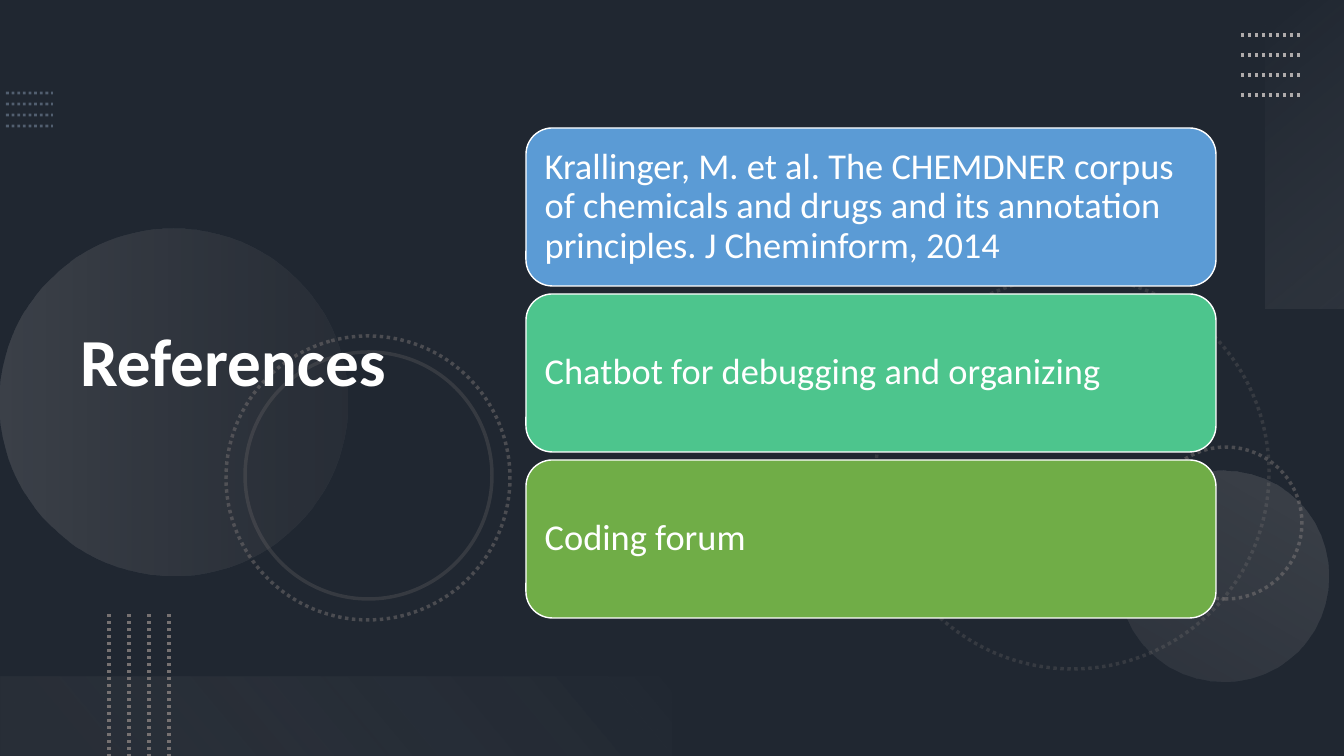
from lxml import etree
from pptx import Presentation
from pptx.dml.color import RGBColor
from pptx.enum.dml import MSO_LINE
from pptx.enum.shapes import MSO_CONNECTOR, MSO_SHAPE
from pptx.enum.text import MSO_ANCHOR, PP_ALIGN
from pptx.oxml.ns import qn
from pptx.util import Emu, Pt

PAGE_WIDTH, PAGE_HEIGHT = 1344, 756
EMU_PER_PX = 12192000 / PAGE_WIDTH

RECT, ELLIPSE, ROUNDED = MSO_SHAPE.RECTANGLE, MSO_SHAPE.OVAL, MSO_SHAPE.ROUNDED_RECTANGLE
STRAIGHT = MSO_CONNECTOR.STRAIGHT
DOTTED, SOLID = MSO_LINE.ROUND_DOT, MSO_LINE.SOLID
MIDDLE, LEFT = MSO_ANCHOR.MIDDLE, PP_ALIGN.LEFT

SLATE = RGBColor(0x44, 0x54, 0x6A)
BLACK = RGBColor(0x00, 0x00, 0x00)
WHITE = RGBColor(0xFF, 0xFF, 0xFF)
STEEL = RGBColor(0x84, 0x97, 0xB0)
GRAY = RGBColor(0x76, 0x71, 0x71)
SILVER = RGBColor(0xAF, 0xAB, 0xAB)
SMOKE = RGBColor(0xF5, 0xF5, 0xF5)
PEARL = RGBColor(0xF1, 0xF0, 0xF0)
BLUE = RGBColor(0x5B, 0x9B, 0xD5)
MINT = RGBColor(0x4D, 0xC5, 0x8D)
GREEN = RGBColor(0x70, 0xAD, 0x47)

TITLE_FORMAT = {"name": "Calibri", "size": Pt(48), "bold": True}
CARD_FORMAT = {"name": "Calibri", "size": Pt(26), "bold": False}

REFERENCES = [
    ("Krallinger, M. et al. The CHEMDNER corpus of chemicals and drugs "
     "and its annotation principles. J Cheminform, 2014", BLUE),
    ("Chatbot for debugging and organizing", MINT),
    ("Coding forum", GREEN),
]


def px(length):
    return Emu(round(length * EMU_PER_PX))


def set_opacity(item, percent):
    for color in item._element.spPr.iter(qn("a:srgbClr")):
        etree.SubElement(color, qn("a:alpha"), val=str(percent * 1000))


def add_shape(page, kind, left, top, width, height, rotation=0):
    shape = page.shapes.add_shape(kind, px(left), px(top), px(width), px(height))
    shape.shadow.inherit = False
    shape.rotation = rotation
    shape.fill.background()
    shape.line.fill.background()
    return shape


def add_gradient(shape, stops, angle):
    """Fill with (position, colour, opacity) stops; angle runs clockwise."""
    properties = shape._element.spPr
    old_fill = properties.find(qn("a:noFill"))
    gradient = etree.Element(qn("a:gradFill"), rotWithShape="1")
    stop_list = etree.SubElement(gradient, qn("a:gsLst"))
    for position, color, opacity in stops:
        stop = etree.SubElement(stop_list, qn("a:gs"), pos=str(position * 1000))
        tint = etree.SubElement(stop, qn("a:srgbClr"), val=str(color))
        etree.SubElement(tint, qn("a:alpha"), val=str(opacity * 1000))
    etree.SubElement(gradient, qn("a:lin"), ang=str(angle * 60000), scaled="0")
    properties.replace(old_fill, gradient)


def style_line(item, color, width, dash, opacity):
    item.line.color.rgb = color
    item.line.width = Pt(width)
    item.line.dash_style = dash
    set_opacity(item, opacity)


def add_ring(page, left, top, size, dash, opacity, rotation):
    ring = add_shape(page, ELLIPSE, left, top, size, size, rotation)
    style_line(ring, GRAY, 2.5, dash, opacity)


def add_dotted_lines(page, start, end, step, color, width, opacity):
    """Four parallel dotted lines, each moved by step from the one before."""
    for index in range(4):
        shift_x, shift_y = step[0] * index, step[1] * index
        line = page.shapes.add_connector(
            STRAIGHT, px(start[0] + shift_x), px(start[1] + shift_y),
            px(end[0] + shift_x), px(end[1] + shift_y))
        style_line(line, color, width, DOTTED, opacity)
        etree.SubElement(line._element.spPr, qn("a:effectLst"))


def write_text(box, text, font_format, margin_x, margin_y):
    frame = box.text_frame
    frame.word_wrap = True
    frame.vertical_anchor = MIDDLE
    frame.margin_left = frame.margin_right = px(margin_x)
    frame.margin_top = frame.margin_bottom = px(margin_y)
    para = frame.paragraphs[0]
    para.alignment = LEFT
    para.line_spacing = 0.9
    span = para.add_run()
    span.text = text
    for name, value in font_format.items():
        setattr(span.font, name, value)
    span.font.color.rgb = WHITE


def add_card(page, top, text, color):
    card = add_shape(page, ROUNDED, 526, top, 690, 158)
    card.fill.solid()
    card.fill.fore_color.rgb = color
    card.line.color.rgb = WHITE
    card.line.width = Pt(1)
    write_text(card, text, CARD_FORMAT, 11, 11)


def add_decoration(page):
    # Dark veil over the background
    veil = add_shape(page, RECT, 0, 0, PAGE_WIDTH, PAGE_HEIGHT)
    veil.fill.solid()
    veil.fill.fore_color.rgb = BLACK
    set_opacity(veil, 53)

    add_dotted_lines(page, (6, 93), (53, 93), (0, 11), STEEL, 2, 50)

    # Circles and rings
    add_ring(page, 876, 276, 393, DOTTED, 25, 75)
    add_ring(page, 1150, 447, 152, DOTTED, 50, 270)
    left_disc = add_shape(page, ELLIPSE, 0, 229, 347, 347, 270)
    add_gradient(left_disc, [(0, SILVER, 20), (100, GRAY, 10)], 90)
    right_disc = add_shape(page, ELLIPSE, 1119, 471, 210, 210, 210)
    add_gradient(right_disc, [(0, SILVER, 10), (100, SILVER, 20)], 90)
    add_ring(page, 226, 336, 284, DOTTED, 50, 75)
    add_ring(page, 245, 352, 247, SOLID, 25, 75)

    # Corner bands with their dotted lines
    side_band = add_shape(page, RECT, 1151, 115, 308, 79, 270)
    add_gradient(side_band, [(0, SMOKE, 0), (100, SILVER, 10)], 140)
    add_dotted_lines(page, (1241, 35), (1301, 35), (0, 20), SILVER, 2.5, 100)
    bottom_band = add_shape(page, RECT, 0, 677, 672, 79, 180)
    add_gradient(bottom_band, [(10, GRAY, 10), (100, PEARL, 0)], 140)
    add_dotted_lines(page, (109, 614), (109, 756), (20, 0), GRAY, 2.5, 100)


def main():
    deck = Presentation()
    deck.slide_width, deck.slide_height = px(PAGE_WIDTH), px(PAGE_HEIGHT)
    page = deck.slides.add_slide(deck.slide_layouts[6])
    page.background.fill.solid()
    page.background.fill.fore_color.rgb = SLATE
    add_decoration(page)

    # Title
    title = page.shapes.add_textbox(px(70), px(54), px(463), px(622))
    write_text(title, "References", TITLE_FORMAT, 10, 5)

    # Reference cards
    for index, (text, color) in enumerate(REFERENCES):
        add_card(page, 128 + 166 * index, text, color)

    deck.save("out.pptx")


if __name__ == "__main__":
    main()
